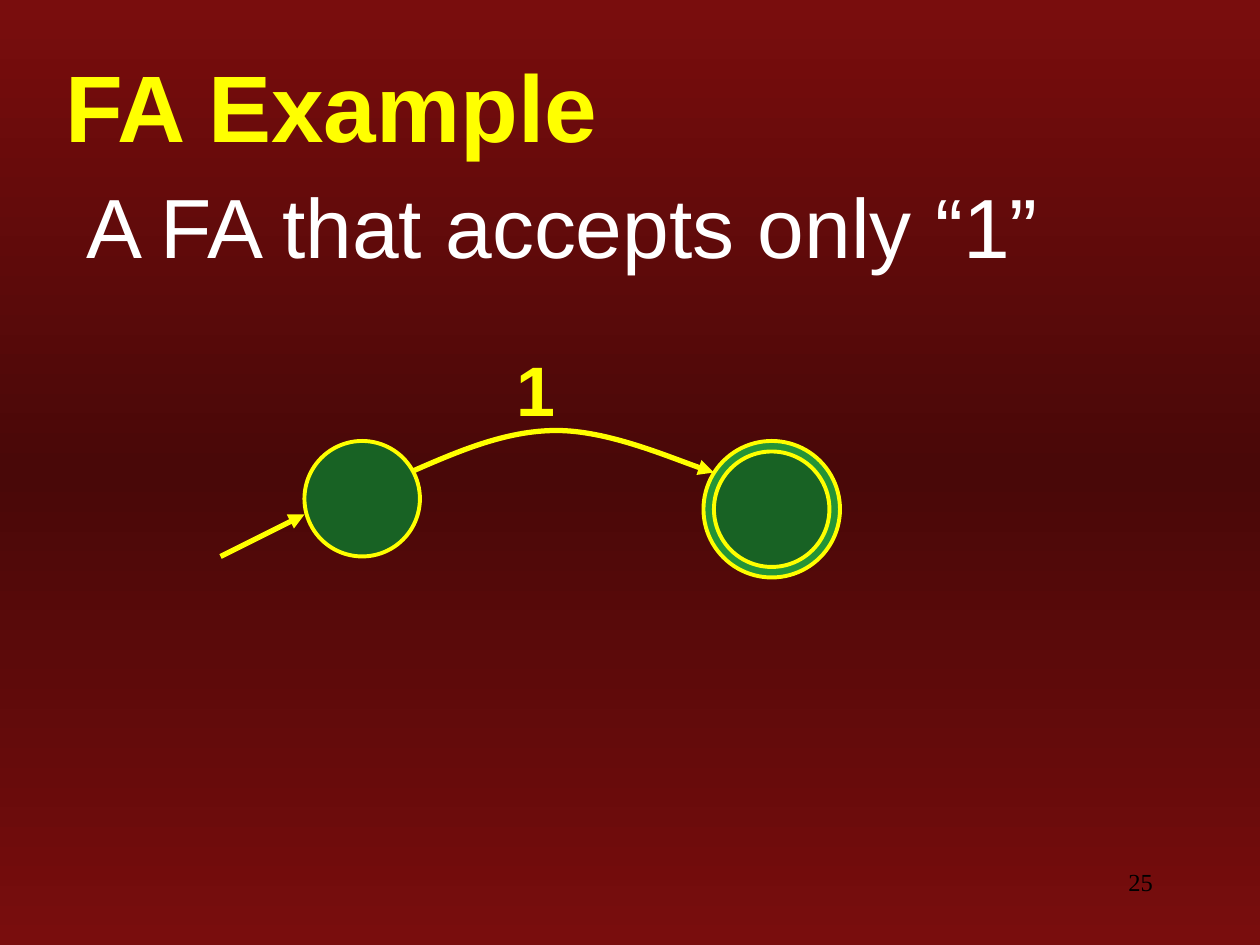
import copy
from dataclasses import dataclass

import pptx
import pptx.dml.color
import pptx.enum.shapes
import pptx.enum.text
import pptx.oxml
import pptx.oxml.ns
import pptx.util

Pt = pptx.util.Pt
qn = pptx.oxml.ns.qn
Align = pptx.enum.text.PP_ALIGN
Anchor = pptx.enum.text.MSO_ANCHOR


@dataclass(frozen=True)
class Theme:
    edge: str = "790D0D"
    middle: str = "490808"
    accent: str = "FFFF00"
    body: str = "FFFFFF"
    number: str = "000000"
    title_shadow: str = "D0D0E0"
    state: str = "186224"
    ring: str = "249437"
    font: str = "Arial"
    number_font: str = "Times New Roman"
    title_size: float = 54
    body_size: float = 48
    label_size: float = 40
    number_size: float = 14
    outline: float = 2.25
    arrow: float = 3


THEME = Theme()


def rgb(value):
    return pptx.dml.color.RGBColor.from_string(value)


def add_element(parent, tag, **attributes):
    element = pptx.oxml.parse_xml(f'<{tag} {pptx.oxml.ns.nsdecls("a")}/>')
    for name, value in attributes.items():
        element.set(name, str(value))
    parent.append(element)
    return element


def write_text(shape, text, *, size, color, font=THEME.font, bold=False,
               align=Align.LEFT, anchor=Anchor.TOP, spacing=None):
    frame = shape.text_frame
    frame.word_wrap = True
    frame.auto_size = pptx.enum.text.MSO_AUTO_SIZE.NONE
    frame.vertical_anchor = anchor
    paragraph = frame.paragraphs[0]
    paragraph.alignment = align
    paragraph.space_before = Pt(0)
    if spacing:
        paragraph.line_spacing = spacing
    run = paragraph.add_run()
    run.text = text
    run.font.name = font
    run.font.size = Pt(size)
    run.font.bold = bold
    run.font.color.rgb = rgb(color)
    return run


def place(shape, left, top, width, height):
    shape.left, shape.top = Pt(left), Pt(top)
    shape.width, shape.height = Pt(width), Pt(height)
    return shape


def paint_background(slide):
    fill = slide.background.fill
    fill.gradient()
    fill.gradient_angle = 270
    first_stop = slide.element.find(".//" + qn("a:gs"))
    first_stop.addnext(copy.deepcopy(first_stop))
    colors = (THEME.edge, THEME.middle, THEME.edge)
    for stop, position, color in zip(fill.gradient_stops, (0, 0.5, 1), colors):
        stop.position = position
        stop.color.rgb = rgb(color)


def add_title(slide, text):
    title = place(slide.shapes.title, 30, 30, 696, 60)
    run = write_text(title, text, size=THEME.title_size, color=THEME.accent,
                     bold=True, anchor=Anchor.MIDDLE)
    properties = run.font._element if hasattr(run.font, "_element") else run._r.get_or_add_rPr()
    effects = add_element(properties, "a:effectLst")
    shadow = add_element(effects, "a:outerShdw", dist=Pt(2), dir=2700000)
    add_element(shadow, "a:srgbClr", val=THEME.title_shadow)
    properties.find(qn("a:solidFill")).addnext(effects)


def add_body(slide, text):
    body = place(slide.placeholders[1], 42, 96, 702, 72)
    properties = body.text_frame.paragraphs[0]._p.get_or_add_pPr()
    properties.set("marL", str(Pt(36)))
    properties.set("indent", str(Pt(-36)))
    add_element(properties, "a:buNone")
    write_text(body, text, size=THEME.body_size, color=THEME.body)


def add_label(slide, text, left, top, width, height, **text_format):
    box = slide.shapes.add_textbox(Pt(left), Pt(top), Pt(width), Pt(height))
    write_text(box, text, **text_format)


def add_state(slide, center, radius, color):
    x, y = center
    circle = slide.shapes.add_shape(
        pptx.enum.shapes.MSO_SHAPE.OVAL,
        Pt(x - radius), Pt(y - radius), Pt(2 * radius), Pt(2 * radius))
    circle.shadow.inherit = False
    circle.fill.solid()
    circle.fill.fore_color.rgb = rgb(color)
    circle.line.color.rgb = rgb(THEME.accent)
    circle.line.width = Pt(THEME.outline)


def style_arrow(shape):
    shape.line.color.rgb = rgb(THEME.accent)
    shape.line.width = Pt(THEME.arrow)
    add_element(shape.line._get_or_add_ln(), "a:tailEnd", type="triangle")


def add_straight_arrow(slide, start, end):
    points = [Pt(value) for value in (*start, *end)]
    arrow = slide.shapes.add_connector(
        pptx.enum.shapes.MSO_CONNECTOR.STRAIGHT, *points)
    style_arrow(arrow)
    add_element(arrow._element.spPr, "a:effectLst")


def add_curved_arrow(slide, start, controls):
    builder = slide.shapes.build_freeform(Pt(start[0]), Pt(start[1]))
    builder.add_line_segments([(Pt(x), Pt(y)) for x, y in controls], close=False)
    arrow = builder.convert_to_shape()
    outline = arrow._element.find(".//" + qn("a:path"))
    segments = outline.findall(qn("a:lnTo"))
    for index in range(0, len(segments), 3):
        curve = add_element(outline, "a:cubicBezTo")
        for segment in segments[index:index + 3]:
            curve.append(segment[0])
            outline.remove(segment)
    arrow.shadow.inherit = False
    arrow.fill.background()
    style_arrow(arrow)


def main():
    presentation = pptx.Presentation()
    presentation.slide_width, presentation.slide_height = Pt(720), Pt(540)
    slide = presentation.slides.add_slide(presentation.slide_layouts[1])
    paint_background(slide)
    add_label(slide, "25", 516, 492, 150, 36, size=THEME.number_size,
              color=THEME.number, font=THEME.number_font, align=Align.RIGHT)
    add_title(slide, "FA Example")
    add_body(slide, "A FA that accepts only “1”")
    add_label(slide, "1", 288, 204, 52.5, 46, size=THEME.label_size,
              color=THEME.accent, bold=True, spacing=0.8)

    start_center, accept_center, radius = (207, 285), (441, 291), 33
    add_curved_arrow(slide, (234, 270), [
        (261.5, 258), (289, 246), (318, 246),
        (347, 246), (393, 265.5), (408, 270)])
    add_state(slide, accept_center, radius + 6, THEME.ring)
    add_state(slide, start_center, radius, THEME.state)
    add_straight_arrow(slide, (126, 318), (174, 294))
    add_state(slide, accept_center, radius, THEME.state)
    presentation.save("out.pptx")


if __name__ == "__main__":
    main()
